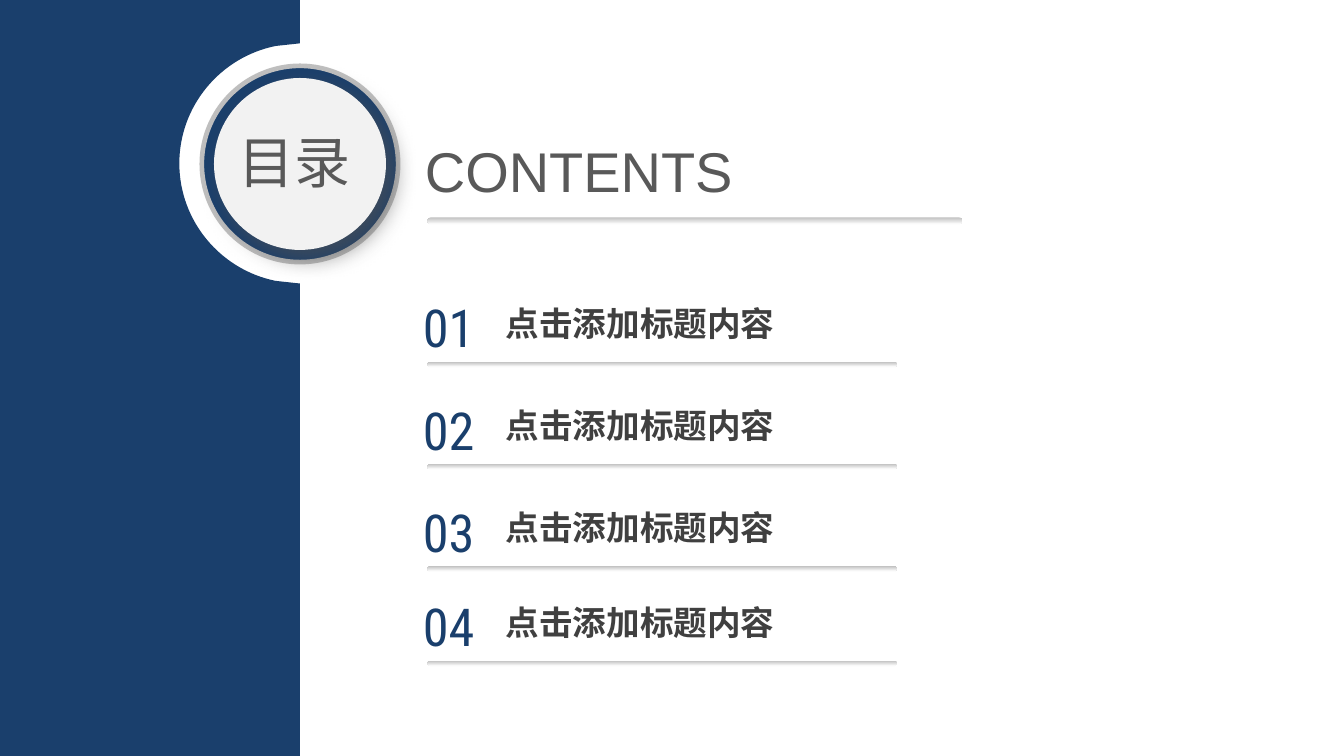
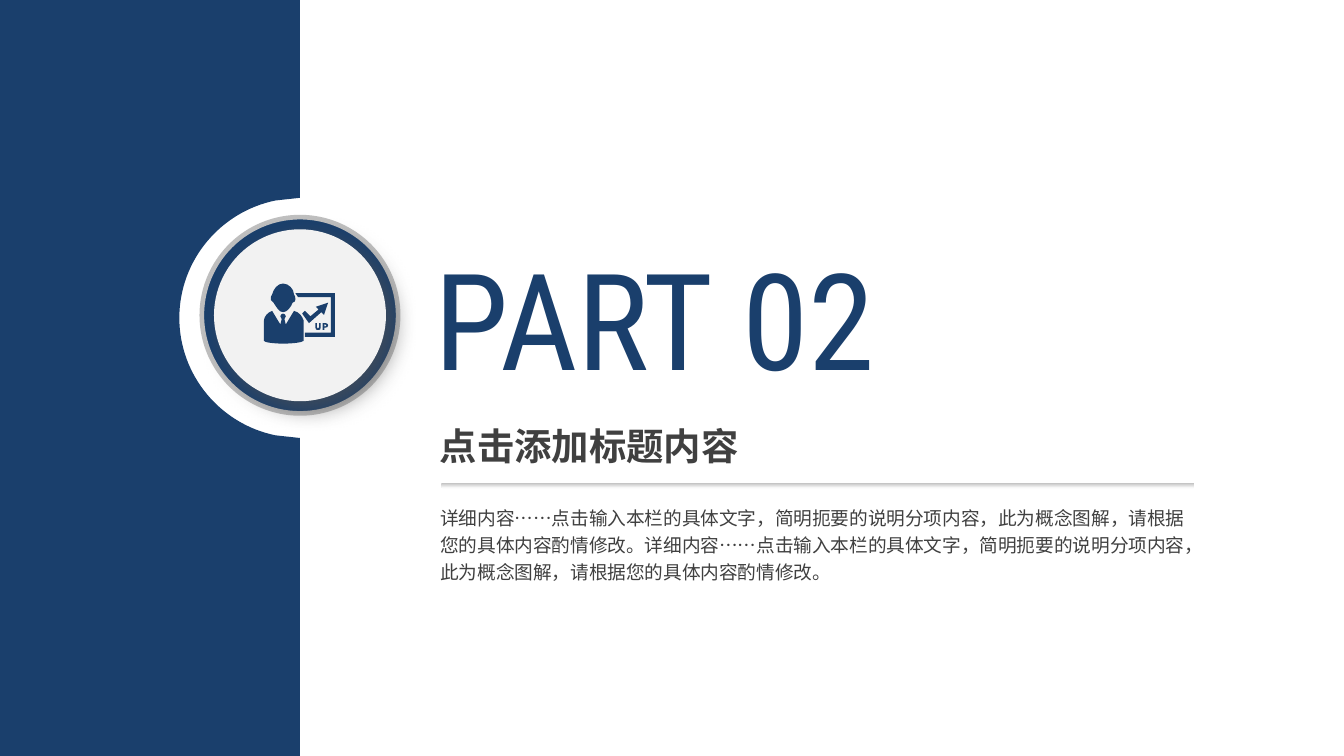
"""Build a contents slide and a section slide with a shared blue band and button."""
from lxml import etree
from pptx import Presentation
from pptx.dml.color import RGBColor
from pptx.enum.shapes import MSO_SHAPE
from pptx.enum.text import MSO_ANCHOR, MSO_AUTO_SIZE, PP_ALIGN
from pptx.oxml.ns import qn
from pptx.util import Cm, Pt

LEFT, CENTER = PP_ALIGN.LEFT, PP_ALIGN.CENTER
TOP, NO_FIT = MSO_ANCHOR.TOP, MSO_AUTO_SIZE.NONE
OVAL, ROUNDED = MSO_SHAPE.OVAL, MSO_SHAPE.ROUNDED_RECTANGLE
TITLE_AND_BODY, TITLE_ONLY = 1, 5

THEME = {
    "navy": RGBColor.from_string("1A3F6C"),
    "white": RGBColor.from_string("FFFFFF"),
    "face": RGBColor.from_string("F2F2F2"),
    "silver": RGBColor.from_string("BFBFBF"),
    "shadow": "525252",
    "east_asian": "Noto Sans CJK SC",
    "styles": {
        "heading": ("Arial", 30, "595959", False),
        "button": ("TeX Gyre Adventor", 30, "595959", False),
        "number": ("Roboto Condensed", 28, "1A3F6C", False),
        "item": ("League Spartan", 18, "404040", True),
        "part": ("Roboto Condensed", 72, "1A3F6C", False),
        "subtitle": ("League Spartan", 20, "404040", True),
        "detail": ("Noto Sans CJK SC", 10, "404040", False),
    },
}

CENTER_X = 5.67
ITEM = "点击添加标题内容"
DETAIL = "详细内容……点击输入本栏的具体文字，简明扼要的说明分项内容，此为概念图解，请根据您的具体内容酌情修改。"

PRESENTER_ICON = {
    "board": [[(23, 7), (25, 10), (49, 10), (49, 36), (30, 36), (30, 39), (52, 39), (52, 7)]],
    "head": [[(7, 14), (9, 17, 11, 21, 14, 21), (17, 21, 20, 17, 21, 14),
              (22, 14, 23, 13, 23, 12), (23, 10, 23, 9, 22, 8), (22, 4, 18, 0, 14, 0),
              (10, 0, 7, 4, 6, 8), (5, 9, 5, 10, 5, 12), (6, 13, 7, 14, 7, 14)]],
    "arrow": [[(30, 20), (28, 22), (33, 29), (42, 21), (44, 23), (47, 14), (38, 17),
               (40, 19), (34, 24)]],
    "body": [[(22, 20), (16, 30), (15, 26), (16, 25, 16, 25, 16, 24),
              (16, 23, 15, 22, 14, 22), (13, 22, 12, 23, 12, 24),
              (12, 25, 13, 25, 13, 26), (12, 30), (6, 20), (3, 21, 0, 24, 0, 27),
              (0, 42), (0, 43, 7, 44, 14, 44), (22, 44, 28, 43, 29, 42), (29, 27),
              (28, 24, 26, 21, 22, 20)]],
    "letter U": [[(37.5, 29), (37.5, 32), (37.5, 34, 38.5, 34, 39.5, 34),
                  (41, 34, 41.5, 34, 41.5, 32), (41.5, 29), (40.3, 29), (40.3, 32),
                  (40.3, 33, 40, 33, 39.5, 33), (39, 33, 38.7, 33, 38.7, 32), (38.7, 29)]],
    "letter P": [[(45, 29), (43, 29), (43, 34), (44.3, 34), (44.3, 32.3), (45, 32.3),
                  (46, 32.3, 47, 32, 47, 30.6), (47, 29.5, 46, 29, 45, 29)],
                 [(44.3, 31.4), (45, 31.4), (46, 31.3, 46, 30, 45, 30), (44.3, 30)]],
}

contents = {
    "layout": TITLE_ONLY, "button_y": 3.1, "notch_y": 3.09, "band": (0, 14.29), "icon": {},
    "bars": [(8.08, 4.11, 10.11, 0.13)],
    "texts": [("CONTENTS", "heading", (7.85, 2.49, 8.84, 1.47), {"placeholder": 0}),
              ("目录", "button", (3.81, 2.31, 3.53, 1.47), {"alignment": CENTER})],
}
for number, row_top in enumerate((5.49, 7.42, 9.35, 11.14), 1):
    contents["bars"].append((8.08, row_top + 1.35, 8.88, 0.1))
    contents["texts"] += [
        (f"{number:02}", "number", (7.73, row_top, 1.5, 1.4), {"alignment": CENTER}),
        (ITEM, "item", (9.38, row_top + 0.13, 5.79, 0.97), {}),
    ]

section = {
    "layout": TITLE_AND_BODY, "button_y": 5.96, "notch_y": 6.01, "band": (-1.19, 15.49),
    "icon": PRESENTER_ICON,
    "bars": [(8.33, 9.13, 14.25, 0.1)],
    "texts": [("PART 02", "part", (8.04, 4.37, 10.01, 3.28), {"placeholder": 0}),
              (ITEM, "subtitle", (8.06, 7.87, 6.91, 1.12), {"insets": (0.25, 0.13)}),
              (DETAIL * 2, "detail", (8.14, 9.4, 14.45, 1.73),
               {"placeholder": 1, "line_spacing": 1.2})],
}


def add_outline(slide, contours, left, top, unit):
    """Draw closed navy contours; six-number steps are cubic curves."""
    builder = None
    for contour in contours:
        places = [(left + step[-2] * unit, top + step[-1] * unit) for step in contour]
        if builder is None:
            builder = slide.shapes.build_freeform(*places[0])
        else:
            builder.move_to(*places[0])
        builder.add_line_segments(places[1:], close=True)
    shape = builder.convert_to_shape()
    steps = [step for contour in contours for step in contour[1:]]
    lines = list(shape._element.iter(qn("a:lnTo")))
    for step, line in zip(steps, lines):
        if len(step) == 6:
            curve = etree.Element(qn("a:cubicBezTo"))
            for x, y in zip(step[::2], step[1::2]):
                etree.SubElement(curve, qn("a:pt"),
                                 x=str(round(left + x * unit - shape.left)),
                                 y=str(round(top + y * unit - shape.top)))
            line.getparent().replace(line, curve)
    shape.shadow.inherit = False
    shape.fill.solid()
    shape.fill.fore_color.rgb = THEME["navy"]
    shape.line.fill.background()


def add_text(slide, text, style, box, options):
    """Write one styled paragraph in a placeholder or a new text box."""
    left, top, width, height = (Cm(value) for value in box)
    if "placeholder" in options:
        shape = slide.placeholders[options["placeholder"]]
        places = {"left": left, "top": top, "width": width, "height": height}
        for name, value in places.items():
            setattr(shape, name, value)
        shape._element.getparent().append(shape._element)
    else:
        shape = slide.shapes.add_textbox(left, top, width, height)
    across, down = (Cm(value) for value in options.get("insets", (0.18, 0.1)))
    frame = shape.text_frame
    frame_format = {"word_wrap": True, "auto_size": NO_FIT, "vertical_anchor": TOP,
                    "margin_left": across, "margin_right": across,
                    "margin_top": down, "margin_bottom": down}
    for name, value in frame_format.items():
        setattr(frame, name, value)
    paragraph = frame.paragraphs[0]
    paragraph_format = {"alignment": options.get("alignment", LEFT), "space_before": Pt(0),
                        "line_spacing": options.get("line_spacing", 1.0)}
    for name, value in paragraph_format.items():
        setattr(paragraph, name, value)
    if options.get("placeholder") == 1:
        properties = paragraph._p.get_or_add_pPr()
        properties.set("marL", "0")
        properties.set("indent", "0")
        etree.SubElement(properties, qn("a:buNone"))
    run = paragraph.add_run()
    run.text = text
    font_name, size, color, bold = THEME["styles"][style]
    for name, value in {"name": font_name, "size": Pt(size), "bold": bold}.items():
        setattr(run.font, name, value)
    run.font.color.rgb = RGBColor.from_string(color)
    etree.SubElement(run._r.get_or_add_rPr(), qn("a:ea"), typeface=THEME["east_asian"])


presentation = Presentation()
presentation.slide_width = Cm(25.4)
presentation.slide_height = Cm(14.29)

for page in (contents, section):
    slide = presentation.slides.add_slide(presentation.slide_layouts[page["layout"]])

    discs = []
    for diameter, color in ((4.98, "white"), (3.71, "navy"), (3.25, "face")):
        disc = slide.shapes.add_shape(
            OVAL, Cm(CENTER_X - diameter / 2), Cm(page["button_y"] - diameter / 2),
            Cm(diameter), Cm(diameter))
        disc.shadow.inherit = False
        disc.fill.solid()
        disc.fill.fore_color.rgb = THEME[color]
        disc.line.fill.background()
        discs.append(disc)
    halo, ring, face = discs
    ring.line.color.rgb = THEME["silver"]
    ring.line.width = Pt(2.5)
    effects = face._element.spPr.find(qn("a:effectLst"))
    shadow = etree.SubElement(effects, qn("a:outerShdw"), blurRad=str(Pt(12)),
                              dist=str(Pt(6)), dir="2700000", algn="tl", rotWithShape="0")
    shadow_color = etree.SubElement(shadow, qn("a:srgbClr"), val=THEME["shadow"])
    etree.SubElement(shadow_color, qn("a:alpha"), val="64000")

    band_top, band_bottom = page["band"]
    y = page["notch_y"]
    add_outline(slide, [[
        (-0.25, band_top), (CENTER_X, band_top), (CENTER_X, y - 2.27), (5.21, y - 2.22),
        (4.17, y - 2.01, 3.39, y - 1.09, 3.39, y),
        (3.39, y + 1.09, 4.17, y + 2.01, 5.21, y + 2.22),
        (CENTER_X, y + 2.27), (CENTER_X, band_bottom), (-0.25, band_bottom),
    ]], 0, 0, Cm(1))

    for left, top, width, height in page["bars"]:
        bar = slide.shapes.add_shape(ROUNDED, Cm(left), Cm(top), Cm(width), Cm(height))
        bar.adjustments[0] = 0.5
        bar.shadow.inherit = False
        bar.line.fill.background()
        bar.fill.gradient()
        bar.fill.gradient_angle = 270
        for stop, color in zip(bar.fill.gradient_stops, ("silver", "white")):
            stop.color.rgb = THEME[color]

    for text, style, box, options in page["texts"]:
        add_text(slide, text, style, box, options)

    for contours in page["icon"].values():
        add_outline(slide, contours, Cm(4.99), Cm(5.36), Cm(2.58) / 100)

presentation.save("out.pptx")
